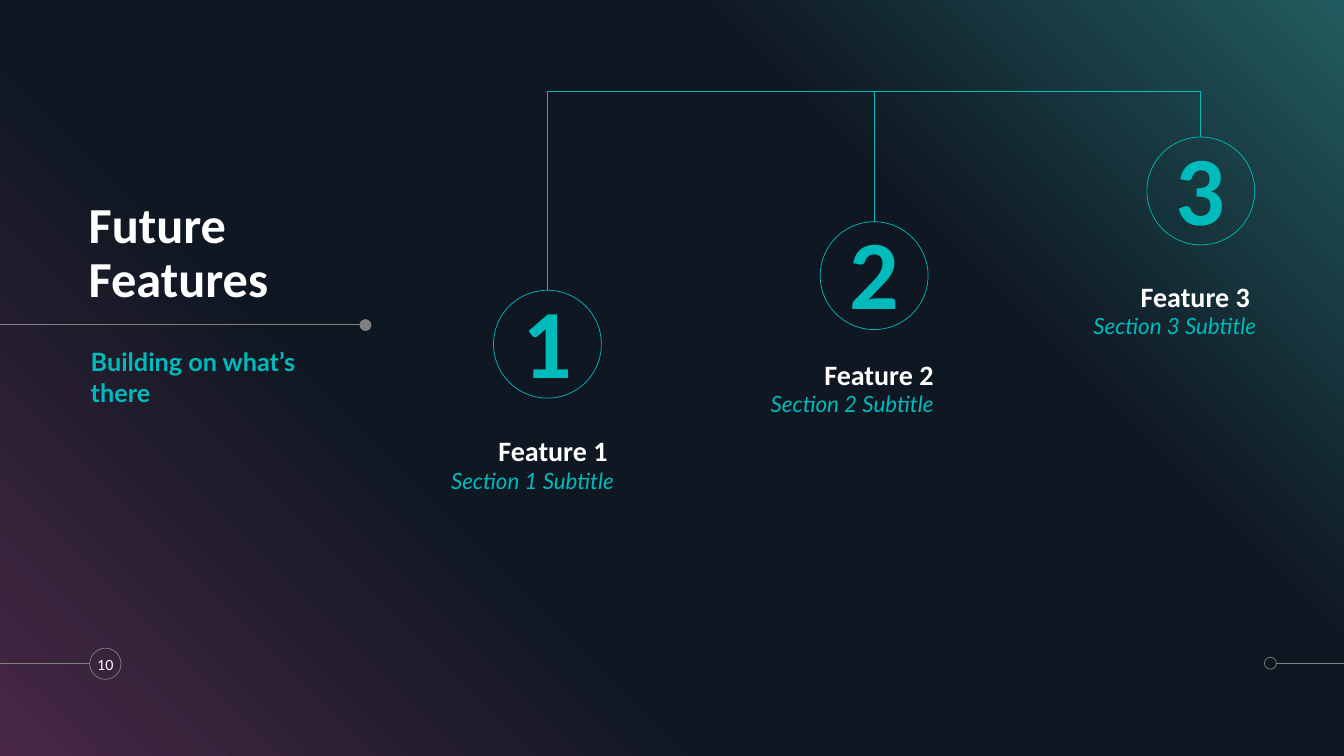
import pptx
import pptx.util
import pptx.dml.color
import pptx.enum.shapes
import pptx.enum.text
import pptx.oxml.ns
import pptx.oxml.xmlchemy

RGBColor = pptx.dml.color.RGBColor
Inches = pptx.util.Inches
Pt = pptx.util.Pt
SHAPE = pptx.enum.shapes.MSO_SHAPE
ALIGN = pptx.enum.text.PP_ALIGN
ANCHOR = pptx.enum.text.MSO_ANCHOR
new_element = pptx.oxml.xmlchemy.OxmlElement

TEAL = RGBColor(0x00, 0xBB, 0xBB)
WHITE = RGBColor(0xFF, 0xFF, 0xFF)
GRAY = RGBColor(0x80, 0x80, 0x80)
PLUM = RGBColor(0x48, 0x28, 0x45)
NAVY = RGBColor(0x0F, 0x17, 0x22)
PINE = RGBColor(0x22, 0x5B, 0x5F)

# Content
TITLE = "Future Features"
SUBTITLE = "Building on what’s there"
PAGE = "10"
# number, heading, section subtitle, circle top, label left, label top
FEATURES = [
    ("1", "Feature 1 ", "Section 1 Subtitle", 2.88, 3.45, 4.25),
    ("2", "Feature 2", "Section 2 Subtitle", 2.2, 6.62, 3.49),
    ("3", "Feature 3 ", "Section 3 Subtitle", 1.36, 9.82, 2.72),
]
GRADIENT = [(0, PLUM), (34, NAVY), (69, NAVY), (100, PINE)]

# Layout in inches
WIDTH, HEIGHT = 13.33, 7.5
FIRST_CENTER, COLUMN = 5.43, 3.24
BAR_TOP, CIRCLE = 0.91, 1.07
LABEL_WIDTH, HEADING_HEIGHT, SECTION_HEIGHT = 2.64, 0.39, 0.26

# Text formats: font, paragraph and frame values
TITLE_FORMAT = (dict(name="Calibri", size=Pt(36), bold=True),
                dict(alignment=ALIGN.LEFT, line_spacing=0.9),
                dict(vertical_anchor=ANCHOR.BOTTOM))
SUBTITLE_FORMAT = (dict(name="Lato", size=Pt(18), bold=True),
                   dict(alignment=ALIGN.LEFT, space_before=Pt(10)),
                   dict(vertical_anchor=ANCHOR.TOP))
NUMBER_FORMAT = (dict(name="Calibri", size=Pt(70), bold=True),
                 dict(alignment=ALIGN.CENTER, line_spacing=0.9),
                 dict(vertical_anchor=ANCHOR.MIDDLE, margin_top=Inches(0.05)))
HEADING_FORMAT = (dict(name="Calibri", size=Pt(20), bold=True),
                  dict(alignment=ALIGN.RIGHT, line_spacing=0.9),
                  dict(vertical_anchor=ANCHOR.BOTTOM))
SECTION_FORMAT = (dict(name="Lato", size=Pt(16), italic=True),
                  dict(alignment=ALIGN.RIGHT, line_spacing=0.9),
                  dict(vertical_anchor=ANCHOR.BOTTOM))
PAGE_FORMAT = (dict(name="Lato", size=Pt(10)),
               dict(alignment=ALIGN.CENTER),
               dict(vertical_anchor=ANCHOR.MIDDLE))


def set_values(target, values):
    for name, value in values.items():
        setattr(target, name, value)


def write(shape, text, formats, color):
    font_values, paragraph_values, frame_values = formats
    frame = shape.text_frame
    frame.text = text
    margins = dict.fromkeys(
        ("margin_left", "margin_top", "margin_right", "margin_bottom"), 0)
    set_values(frame, margins | frame_values)
    frame.auto_size = pptx.enum.text.MSO_AUTO_SIZE.NONE
    frame.word_wrap = True
    paragraph = frame.paragraphs[0]
    set_values(paragraph, paragraph_values)
    font = paragraph.runs[0].font
    set_values(font, font_values)
    font.color.rgb = color


def place(shape, left, top, width, height):
    set_values(shape, dict(left=Inches(left), top=Inches(top),
                           width=Inches(width), height=Inches(height)))


def add_text(slide, box, text, formats, color):
    shape = slide.shapes.add_textbox(*map(Inches, box))
    write(shape, text, formats, color)


def add_circle(slide, left, top, size, color, filled=False):
    circle = slide.shapes.add_shape(
        SHAPE.OVAL, *map(Inches, (left, top, size, size)))
    circle.shadow.inherit = False
    circle.line.color.rgb = color
    circle.line.width = Pt(0.5)
    if filled:
        circle.fill.solid()
        circle.fill.fore_color.rgb = color
    else:
        circle.fill.background()
    return circle


def add_line(slide, start, end, color):
    line = slide.shapes.add_connector(
        pptx.enum.shapes.MSO_CONNECTOR.STRAIGHT, *map(Inches, start + end))
    line.line.color.rgb = color
    line.line.width = Pt(0.5)
    line._element.spPr.append(new_element("a:effectLst"))
    return line


def add_backdrop(slide):
    backdrop = slide.shapes.add_shape(
        SHAPE.RECTANGLE, 0, 0, Inches(WIDTH), Inches(HEIGHT))
    backdrop.shadow.inherit = False
    backdrop.line.fill.background()
    backdrop.fill.gradient()
    backdrop.fill.gradient_angle = 45
    stops = backdrop._element.spPr.find(".//" + pptx.oxml.ns.qn("a:gsLst"))
    for stop in list(stops):
        stops.remove(stop)
    for position, color in GRADIENT:
        stop = new_element("a:gs")
        stop.set("pos", str(position * 1000))
        value = new_element("a:srgbClr")
        value.set("val", str(color))
        stop.append(value)
        stops.append(stop)
    slide.shapes._spTree.insert(2, backdrop._element)


def add_feature(slide, index, feature):
    number, heading, section, circle_top, left, top = feature
    center = FIRST_CENTER + index * COLUMN
    circle = add_circle(slide, center - CIRCLE / 2, circle_top, CIRCLE, TEAL)
    write(circle, number, NUMBER_FORMAT, TEAL)
    drop = add_line(slide, (center, BAR_TOP), (center, circle_top), TEAL)
    drop.end_connect(circle, 0)
    add_text(slide, (left, top, LABEL_WIDTH, HEADING_HEIGHT),
             heading, HEADING_FORMAT, WHITE)
    add_text(slide, (left, top + HEADING_HEIGHT, LABEL_WIDTH, SECTION_HEIGHT),
             section, SECTION_FORMAT, TEAL)


def main():
    presentation = pptx.Presentation()
    presentation.slide_width = Inches(WIDTH)
    presentation.slide_height = Inches(HEIGHT)
    slide = presentation.slides.add_slide(presentation.slide_layouts[1])
    add_backdrop(slide)

    title, body = slide.placeholders
    place(title, 0.88, 1.65, 3.09, 1.41)
    write(title, TITLE, TITLE_FORMAT, WHITE)
    place(body, 0.9, 3.44, 2.42, 2.29)
    write(body, SUBTITLE, SUBTITLE_FORMAT, TEAL)
    properties = body.text_frame.paragraphs[0]._p.get_or_add_pPr()
    properties.set("marL", "0")
    properties.set("indent", "0")
    properties.append(new_element("a:buNone"))

    add_line(slide, (0, 3.22), (3.58, 3.22), GRAY)
    add_circle(slide, 3.57, 3.17, 0.11, GRAY, filled=True)

    add_line(slide, (0, 6.58), (0.89, 6.58), GRAY)
    add_circle(slide, 0.89, 6.43, 0.31, GRAY)
    add_text(slide, (0.85, 6.43, 0.39, 0.33), PAGE, PAGE_FORMAT, WHITE)
    add_circle(slide, 12.54, 6.52, 0.12, GRAY)
    add_line(slide, (12.66, 6.58), (WIDTH, 6.58), GRAY)

    bar_end = FIRST_CENTER + (len(FEATURES) - 1) * COLUMN
    add_line(slide, (FIRST_CENTER, BAR_TOP), (bar_end, BAR_TOP), TEAL)
    for index, feature in enumerate(FEATURES):
        add_feature(slide, index, feature)

    presentation.save("out.pptx")


if __name__ == "__main__":
    main()
